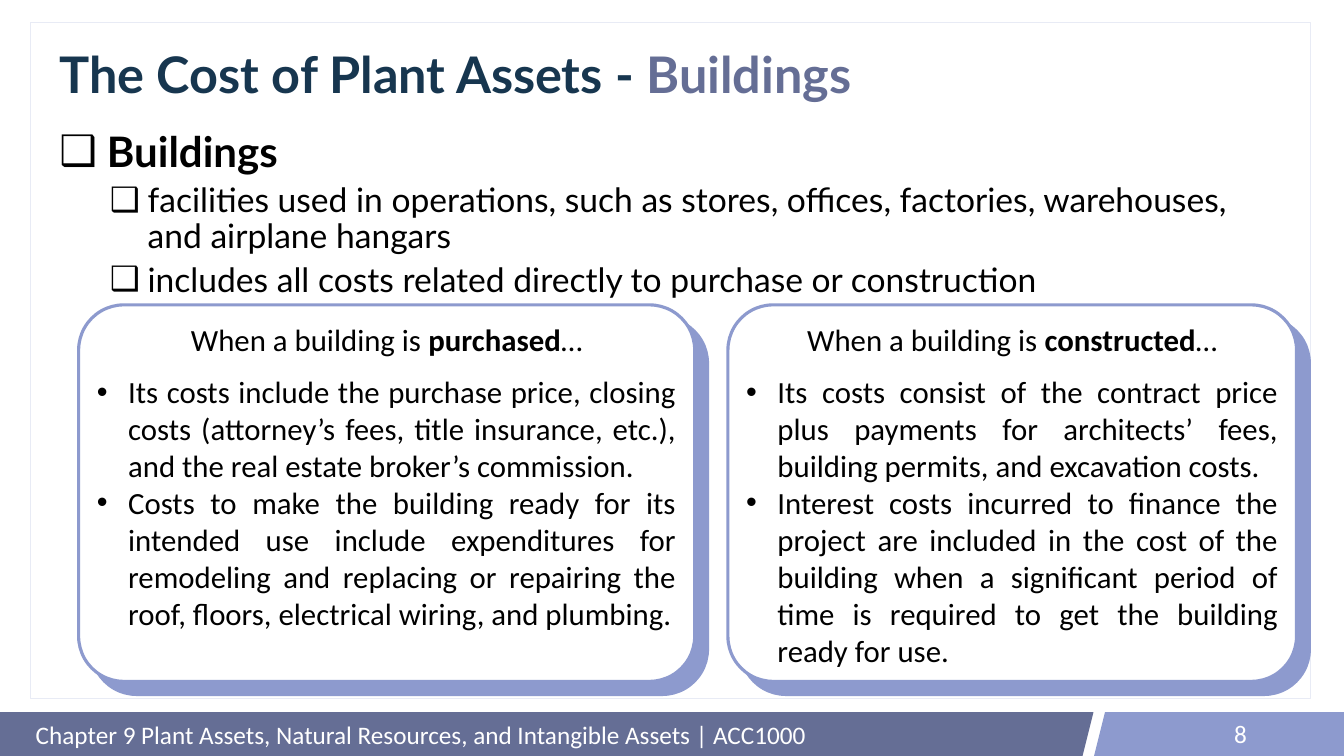
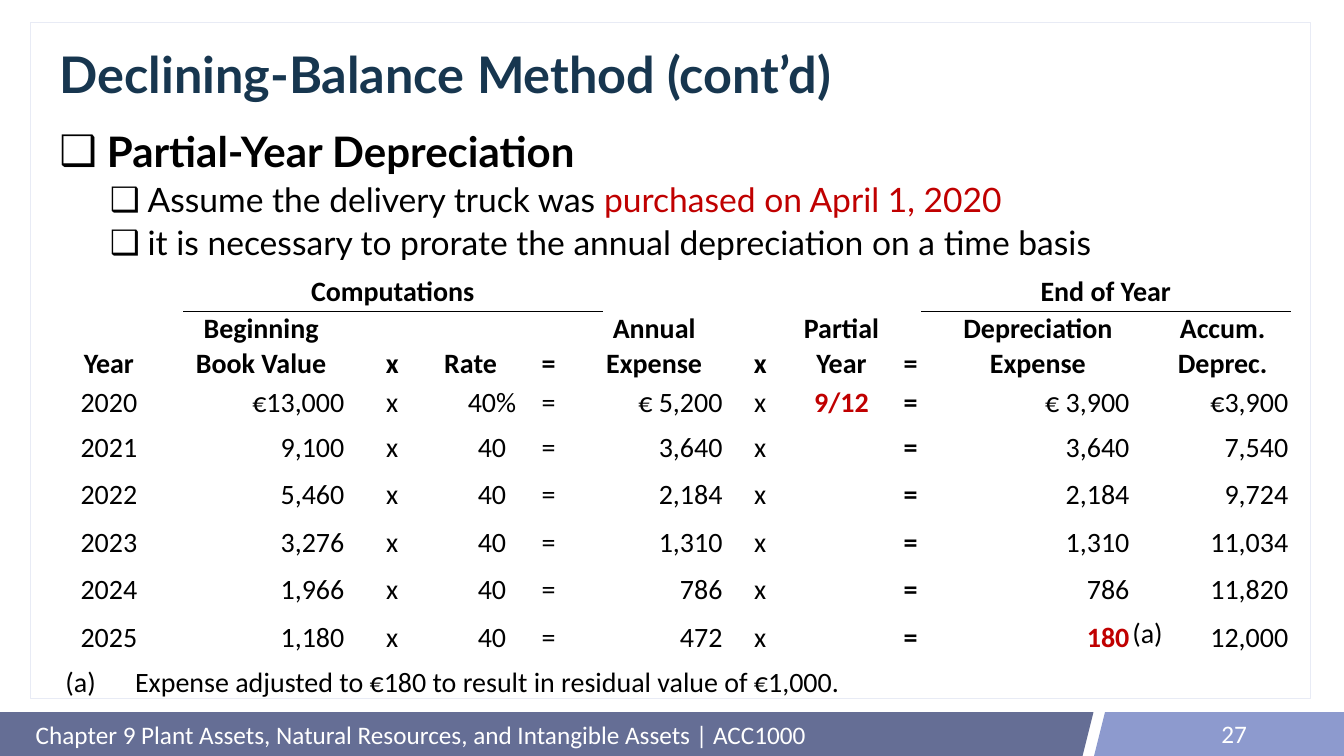
from dataclasses import dataclass
from typing import Any, NamedTuple, Optional

import pptx
import pptx.dml.color
import pptx.enum.shapes
import pptx.enum.text
import pptx.oxml.ns
import pptx.util
from lxml import etree

WIDTH = pptx.util.Inches(26.66)
HEIGHT = pptx.util.Inches(15)

SLATE, PERIWINKLE, NAVY = "656E95", "8D9ACE", "17364F"
WHITE, BLACK, RED, PALE = "FFFFFF", "000000", "C00000", "E8EBF5"
HEADING_FONT, TEXT_FONT, BULLET_FONT = "Lato", "Calibri", "Arial"
FOOTER = "Chapter 9 Plant Assets, Natural Resources, and Intangible Assets | ACC1000"
PLAIN_TABLE = "{2D5ABB26-0587-4C30-8999-92F81FD0307C}"

ALIGN = pptx.enum.text.PP_ALIGN
ANCHOR = pptx.enum.text.MSO_ANCHOR
SHAPE = pptx.enum.shapes.MSO_SHAPE


class Box(NamedTuple):
    """Left, top, width and height in percent of the slide."""
    left: float
    top: float
    width: float
    height: float


class Span(NamedTuple):
    text: str
    bold: bool = False
    colour: str = BLACK


@dataclass
class Para:
    """Indents are in percent of the slide's width, spacing in points."""
    spans: list[Span]
    size: float
    font: str = TEXT_FONT
    align: Any = ALIGN.LEFT
    margin: float = 0
    hang: float = 0
    bullet: str = ""
    level: int = 0
    before: float = 0
    line: Optional[float] = None


class Band(NamedTuple):
    kind: Any
    box: Box
    colour: str


class Card(NamedTuple):
    box: Box
    event: str
    points: list[str]


class Column(NamedTuple):
    width: float
    head: str
    head_inset: float = 0.04
    right_inset: float = 0.04
    bold: bool = False


BANDS = [
    Band(SHAPE.RECTANGLE, Box(0, 94.2, 74.83, 5.8), SLATE),
    Band(SHAPE.PARALLELOGRAM, Box(65.23, 94.2, 16.13, 5.8), SLATE),
    Band(SHAPE.PARALLELOGRAM, Box(81.4, 94.2, 16.13, 5.8), PERIWINKLE),
    Band(SHAPE.RECTANGLE, Box(83.91, 94.2, 16.09, 5.8), PERIWINKLE),
]
PANEL = Box(2.29, 2.93, 95.24, 89.4)
TITLE = Box(4.05, 5.33, 91.48, 9.67)
BODY = Box(4.05, 17, 91.48, 73.13)
FOOTER_BOX = Box(2.29, 94.33, 77.27, 5.67)
NUMBER_BOX = Box(70.63, 94.33, 22.51, 5.33)
CARD_SHADOW = (0.95, 1.73)

CARDS = [
    Card(Box(5.85, 40.33, 45.84, 49.8), "purchased", [
        "Its costs include the purchase price, closing costs (attorney’s fees, title "
        "insurance, etc.), and the real estate broker’s commission.",
        "Costs to make the building ready for its intended use include expenditures for "
        "remodeling and replacing or repairing the roof, floors, electrical wiring, "
        "and plumbing."]),
    Card(Box(54.16, 40.33, 42.31, 49.8), "constructed", [
        "Its costs consist of the contract price plus payments for architects’ fees, "
        "building permits, and excavation costs.",
        "Interest costs incurred to finance the project are included in the cost of the "
        "building when a significant period of time is required to get the building "
        "ready for use."]),
]

GROUPS = [(9.08, ""), (31.36, "Computations"), (4.24, ""), (19.35, ""),
          (27.57, "End of Year")]
COLUMNS = [
    Column(7.28, "Year", 0.38),
    Column(15.38, "Beginning\nBook Value", 0.19, 1.5),
    Column(4.13, "x"),
    Column(7.54, "Rate", 0.38, 1.13),
    Column(4.05, "=", 0.38),
    Column(11.67, "Annual\nExpense", 0.38, 0.75),
    Column(4.13, "x"),
    Column(7.95, "Partial\nYear"),
    Column(2.33, "=", bold=True),
    Column(16.62, "Depreciation Expense", 0.19, 1.5),
    Column(10.88, "Accum.\nDeprec.", 0.38, 0.56),
]
PERCENT_SIGN = 0.75
HIGHLIGHTS = ("9/12", "180")
# Year, book value, rate, annual expense, partial year, expense, accumulated
YEARS = [
    ("2020", "€13,000", "40%", "€ 5,200", "9/12", "€ 3,900", "€3,900"),
    ("2021", "9,100", "40", "3,640", "", "3,640", "7,540"),
    ("2022", "5,460", "40", "2,184", "", "2,184", "9,724"),
    ("2023", "3,276", "40", "1,310", "", "1,310", "11,034"),
    ("2024", "1,966", "40", "786", "", "786", "11,820"),
    ("2025", "1,180", "40", "472", "", "180", "12,000"),
]


def across(share: float) -> int:
    return round(WIDTH * share / 100)


def down(share: float) -> int:
    return round(HEIGHT * share / 100)


def place(box: Box) -> tuple[int, int, int, int]:
    return across(box.left), down(box.top), across(box.width), down(box.height)


def rgb(colour: str) -> pptx.dml.color.RGBColor:
    return pptx.dml.color.RGBColor.from_string(colour)


def add_element(parent: Any, tag: str, **attributes: Any) -> Any:
    values = {name: str(value) for name, value in attributes.items()}
    return etree.SubElement(parent, pptx.oxml.ns.qn(tag), values)


def write(frame: Any, paras: list[Para], anchor: Any = ANCHOR.TOP) -> None:
    frame.word_wrap = True
    frame.auto_size = pptx.enum.text.MSO_AUTO_SIZE.NONE
    frame.vertical_anchor = anchor
    for index, para in enumerate(paras):
        paragraph = frame.add_paragraph() if index else frame.paragraphs[0]
        paragraph.level = para.level
        paragraph.alignment = para.align
        paragraph.space_before = pptx.util.Pt(para.before)
        if para.line:
            paragraph.line_spacing = para.line
        properties = paragraph._p.get_or_add_pPr()
        properties.set("marL", str(across(para.margin)))
        properties.set("indent", str(-across(para.hang)))
        if para.bullet:
            add_element(properties, "a:buFont", typeface=BULLET_FONT)
            add_element(properties, "a:buChar", char=para.bullet)
        else:
            add_element(properties, "a:buNone")
        for span in para.spans:
            run = paragraph.add_run()
            run.text = span.text
            run.font.name = para.font
            run.font.size = pptx.util.Pt(para.size)
            run.font.bold = span.bold
            run.font.color.rgb = rgb(span.colour)


def add_panel(slide: Any, kind: Any, box: Box, fill: str, line: str = "",
              weight: float = 1) -> Any:
    shape = slide.shapes.add_shape(kind, *place(box))
    shape.shadow.inherit = False
    shape.fill.solid()
    shape.fill.fore_color.rgb = rgb(fill)
    if line:
        shape.line.color.rgb = rgb(line)
        shape.line.width = pptx.util.Pt(weight)
    else:
        shape.line.fill.background()
    return shape


def add_text(slide: Any, box: Box, para: Para, anchor: Any = ANCHOR.TOP) -> Any:
    frame = slide.shapes.add_textbox(*place(box)).text_frame
    write(frame, [para], anchor)
    return frame


def furnish_layout(layout: Any, slide: Any) -> None:
    """Draw the shared bands and panel, then move them behind the layout's placeholders."""
    for holder in list(layout.placeholders):
        if holder.placeholder_format.idx >= 10:
            layout.shapes.element.remove(holder.element)
    shapes = [add_panel(slide, *band) for band in BANDS]
    panel = add_panel(slide, SHAPE.RECTANGLE, PANEL, WHITE, PALE)
    add_element(panel.element.xpath("./p:spPr/a:solidFill/a:srgbClr")[0],
                "a:alpha", val=85000)
    for index, shape in enumerate([*shapes, panel], start=2):
        layout.shapes.element.insert(index, shape.element)


def fill_placeholders(slide: Any, title: list[Span], heading: str,
                      items: list[list[Span]]) -> None:
    paras = [Para([Span(heading, True)], 60, HEADING_FONT, margin=3.53, hang=3.53,
                  bullet="❑", line=0.9)]
    paras += [Para(item, 48, HEADING_FONT, margin=6.56, hang=2.81, bullet="❑",
                   level=1, before=10, line=0.9) for item in items]
    heads = [Para(title, 72, HEADING_FONT, line=0.9)]
    for holder, box, content, anchor in (
            (slide.shapes.title, TITLE, heads, ANCHOR.MIDDLE),
            (slide.placeholders[1], BODY, paras, ANCHOR.TOP)):
        holder.left, holder.top, holder.width, holder.height = place(box)
        write(holder.text_frame, content, anchor)


def add_footer(slide: Any, number: int) -> None:
    add_text(slide, FOOTER_BOX, Para([Span(FOOTER, colour=WHITE)], 36), ANCHOR.MIDDLE)
    add_text(slide, NUMBER_BOX,
             Para([Span(str(number), colour=WHITE)], 36, align=ALIGN.RIGHT), ANCHOR.MIDDLE)


def add_card(slide: Any, card: Card) -> None:
    shift_x, shift_y = CARD_SHADOW
    behind = card.box._replace(left=card.box.left + shift_x, top=card.box.top + shift_y)
    for box, fill in ((behind, PERIWINKLE), (card.box, WHITE)):
        shape = add_panel(slide, SHAPE.ROUNDED_RECTANGLE, box, fill, PERIWINKLE, 4.5)
        shape.adjustments[0] = 0.12
    paras = [Para([Span("When a building is "), Span(card.event, True), Span("…")],
                  44, align=ALIGN.CENTER)]
    paras += [Para([Span(point)], 44, align=ALIGN.JUSTIFY, margin=2.33, hang=2.33,
                   bullet="•", before=0 if index else 22)
              for index, point in enumerate(card.points)]
    write(shape.text_frame, paras)


def add_plain_table(slide: Any, left: float, top: float, widths: list[float],
                    heights: list[float]) -> Any:
    box = Box(left, top, sum(widths), sum(heights))
    frame = slide.shapes.add_table(len(heights), len(widths), *place(box))
    frame.element.xpath(".//a:tableStyleId")[0].text = PLAIN_TABLE
    table = frame.table
    table.first_row = table.horz_banding = False
    for column, width in zip(table.columns, widths):
        column.width = across(width)
    for row, height in zip(table.rows, heights):
        row.height = down(height)
    return table


def fill_cell(cell: Any, text: str, bold: bool = False, colour: str = BLACK,
              align: Any = ALIGN.CENTER, anchor: Any = ANCHOR.TOP) -> None:
    cell.fill.background()
    if text:
        write(cell.text_frame, [Para([Span(line, bold, colour)], 40, align=align)
                                for line in text.split("\n")])
        cell.vertical_anchor = anchor


def set_insets(cell: Any, left: float, top: float, right: float, bottom: float) -> None:
    cell.margin_left, cell.margin_right = across(left), across(right)
    cell.margin_top, cell.margin_bottom = down(top), down(bottom)


def add_group_table(slide: Any) -> None:
    table = add_plain_table(slide, 4.46, 34.47, [width for width, _ in GROUPS], [6.73])
    for cell, (_, name) in zip(table.rows[0].cells, GROUPS):
        bottom = (BLACK, 1.5) if name else (WHITE, 3)
        sides = {"L": (WHITE, 1), "R": (WHITE, 1), "T": (WHITE, 1), "B": bottom}
        properties = cell._tc.get_or_add_tcPr()
        for side, (colour, weight) in sides.items():
            line = add_element(properties, f"a:ln{side}", w=pptx.util.Pt(weight))
            add_element(add_element(line, "a:solidFill"), "a:srgbClr", val=colour)
        fill_cell(cell, name, True, anchor=ANCHOR.BOTTOM)


def add_schedule(slide: Any) -> None:
    table = add_plain_table(slide, 4.46, 38.8, [column.width for column in COLUMNS],
                            [11.87] + [6.27] * len(YEARS))
    for cell, column in zip(table.rows[0].cells, COLUMNS):
        fill_cell(cell, column.head, True, anchor=ANCHOR.BOTTOM)
        set_insets(cell, column.head_inset, 0.33, column.head_inset, 0.33)
    for index, (year, book, rate, annual, part, expense, total) in enumerate(YEARS, 1):
        values = (year, book, "x", rate, "=", annual, "x", part, "=", expense, total)
        for cell, column, value in zip(table.rows[index].cells, COLUMNS, values):
            marked = value in HIGHLIGHTS
            numeric = column.right_inset > 0.04
            fill_cell(cell, value, column.bold or marked, RED if marked else BLACK,
                      ALIGN.RIGHT if numeric else ALIGN.CENTER)
            hanging = PERCENT_SIGN if value.endswith("%") else 0
            set_insets(cell, 0.04, 0.33 if index == 1 else 0.07,
                       column.right_inset - hanging, 0.07)


def build_buildings(slide: Any) -> None:
    fill_placeholders(
        slide, [Span("The Cost of Plant Assets - ", True, NAVY), Span("Buildings", True, SLATE)],
        "Buildings",
        [[Span("facilities used in operations, such as stores, offices, factories, "
               "warehouses, and airplane hangars")],
         [Span("includes all costs related directly to purchase or construction")]])
    for card in CARDS:
        add_card(slide, card)
    add_footer(slide, 8)


def build_declining_balance(slide: Any) -> None:
    fill_placeholders(
        slide, [Span("Declining-Balance Method (cont’d)", True, NAVY)],
        "Partial-Year Depreciation",
        [[Span("Assume the delivery truck was "),
          Span("purchased on April 1, 2020", colour=RED)],
         [Span("it is necessary to prorate the annual depreciation on a time basis")]])
    add_group_table(slide)
    add_schedule(slide)
    mark = add_text(slide, Box(84.25, 81.47, 3.98, 4.47), Para([Span("(a)")], 40))
    mark.margin_left = mark.margin_top = mark.margin_right = mark.margin_bottom = 0
    note = "(a)\tExpense adjusted to €180 to result in residual value of €1,000."
    add_text(slide, Box(4.5, 87.53, 90.32, 5.13),
             Para([Span(note)], 40, margin=5.18, hang=5.18))
    add_footer(slide, 27)


def main() -> None:
    deck = pptx.Presentation()
    deck.slide_width, deck.slide_height = WIDTH, HEIGHT
    layout = deck.slide_layouts[1]
    slides = [deck.slides.add_slide(layout) for _ in range(2)]
    furnish_layout(layout, slides[0])
    build_buildings(slides[0])
    build_declining_balance(slides[1])
    deck.save("out.pptx")


if __name__ == "__main__":
    main()
